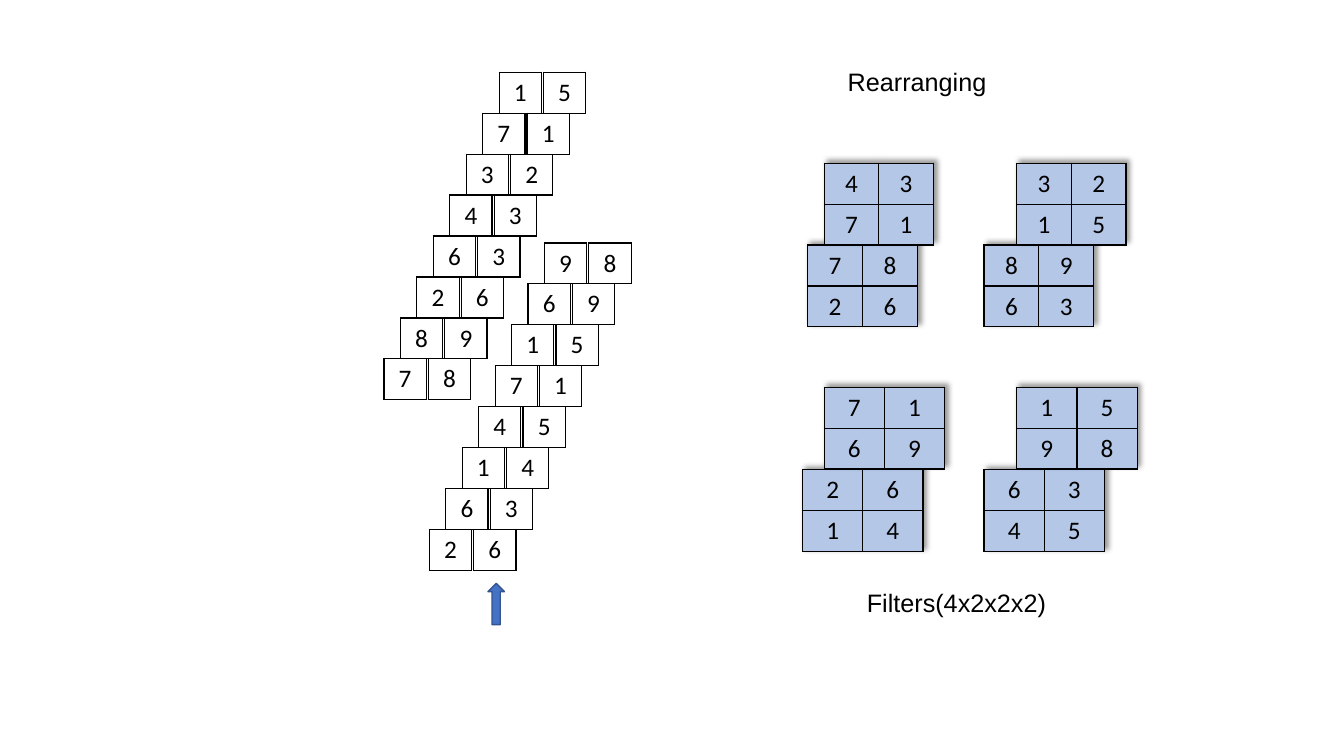
from lxml import etree
from pptx import Presentation
from pptx.dml.color import RGBColor
from pptx.enum import shapes, text
from pptx.oxml import ns
from pptx.util import Pt

BLACK = RGBColor(0x00, 0x00, 0x00)
WHITE = RGBColor(0xFF, 0xFF, 0xFF)
PALE_BLUE = RGBColor(0xB4, 0xC7, 0xE7)
BLUE = RGBColor(0x44, 0x72, 0xC4)
DARK_BLUE = RGBColor(0x32, 0x54, 0x91)

ROW_H = 29.25     # height of every number cell
CELL_W = 30.2     # width of a single-cell tile
TILE_PITCH = 31.7  # distance between the two columns of a tower
SHIFT = 11.75     # leftward shift of each lower row in a tower

# Left and top of the highest row, then the rows from top to bottom
TOWERS = [
    (356.5, 51.6, ["15", "71", "32", "43", "63", "26", "89", "78"]),
    (388.9, 173.5, ["98", "69", "15", "71", "45", "14", "63", "26"]),
]

# Left, top, column width, rows
FILTERS = [
    (576.9, 175, 39.2, ["78", "26"]),
    (588.7, 116.6, 39, ["43", "71"]),
    (702.9, 175, 39.2, ["89", "63"]),
    (726.3, 116.6, 39, ["32", "15"]),
    (573.3, 335.6, 43, ["26", "14"]),
    (588.7, 276.6, 43, ["71", "69"]),
    (702.9, 335.6, 43, ["63", "45"]),
    (726.3, 276.6, 43, ["15", "98"]),
]


def sub(parent, tag, **attrs):
    return etree.SubElement(parent, ns.qn(tag), attrs)


def write(tf, words, font="Calibri", size=18, color=BLACK):
    tf.word_wrap = True
    p = tf.paragraphs[0]
    p.alignment = text.PP_ALIGN.CENTER
    r = p.add_run()
    r.text = words
    r.font.name, r.font.size = font, Pt(size)
    r.font.color.rgb = color


def set_borders(cell):
    tc_pr = cell._tc.get_or_add_tcPr()
    for side in "LRTB":
        ln = sub(tc_pr, f"a:ln{side}", w=str(Pt(1)))
        sub(sub(ln, "a:solidFill"), "a:srgbClr", val=str(BLACK))


def add_shadow(table):
    effects = etree.Element(ns.qn("a:effectLst"))
    shadow = sub(effects, "a:outerShdw", blurRad=str(Pt(4)), dist=str(Pt(3)),
                 dir="18900000", algn="bl", rotWithShape="0")
    sub(sub(shadow, "a:prstClr", val="black"), "a:alpha", val="40000")
    table._tbl.tblPr.insert(0, effects)


def add_number_table(slide, left, top, col_w, rows, fill):
    n_cols = len(rows[0])
    table = slide.shapes.add_table(len(rows), n_cols, Pt(left), Pt(top),
                                   Pt(col_w * n_cols),
                                   Pt(ROW_H * len(rows))).table
    table.first_row = table.horz_banding = False
    for column in table.columns:
        column.width = Pt(col_w)
    for i, digits in enumerate(rows):
        table.rows[i].height = Pt(ROW_H)
        for j, digit in enumerate(digits):
            cell = table.cell(i, j)
            set_borders(cell)
            cell.fill.solid()
            cell.fill.fore_color.rgb = fill
            cell.vertical_anchor = text.MSO_ANCHOR.MIDDLE
            write(cell.text_frame, digit)
    return table


def add_tower(slide, left, top, rows):
    for col in range(2):
        for i, digits in reversed(list(enumerate(rows))):
            add_number_table(slide, left + col * TILE_PITCH - i * SHIFT,
                             top + i * ROW_H, CELL_W, [digits[col]], WHITE)


def add_up_arrow(slide, left, top, width, height):
    sp = slide.shapes.add_shape(shapes.MSO_SHAPE.DOWN_ARROW, Pt(left), Pt(top),
                                Pt(width), Pt(height))
    sp.rotation = 180
    sp.shadow.inherit = False
    sp.fill.solid()
    sp.fill.fore_color.rgb = BLUE
    sp.line.color.rgb = DARK_BLUE
    sp.line.width = Pt(1)


def add_title(slide, words, left, top, width, height):
    sp = slide.shapes.title
    sp.left, sp.top, sp.width, sp.height = map(Pt, (left, top, width, height))
    sp.text_frame.vertical_anchor = text.MSO_ANCHOR.MIDDLE
    write(sp.text_frame, words, font="Arial")


def add_caption(slide, words, left, top, width, height):
    sp = slide.shapes.add_textbox(Pt(left), Pt(top), Pt(width), Pt(height))
    write(sp.text_frame, words, font="Arial")
    sp.text_frame.auto_size = text.MSO_AUTO_SIZE.SHAPE_TO_FIT_TEXT


def main():
    prs = Presentation()
    prs.slide_width, prs.slide_height = Pt(960), Pt(540)
    slide = prs.slides.add_slide(prs.slide_layouts[5])

    # Staggered towers of single-cell tiles
    for left, top, rows in TOWERS:
        add_tower(slide, left, top, rows)

    # Overlapping 2x2 filter blocks
    for left, top, col_w, rows in FILTERS:
        add_shadow(add_number_table(slide, left, top, col_w, rows, PALE_BLUE))

    # Arrow and labels
    add_up_arrow(slide, 348.5, 416.7, 11.8, 29.5)
    add_title(slide, "Rearranging", 458.6, 44, 393, 29)
    add_caption(slide, "Filters(4x2x2x2)", 486.7, 416.2, 393, 29)

    prs.save("out.pptx")


if __name__ == "__main__":
    main()
